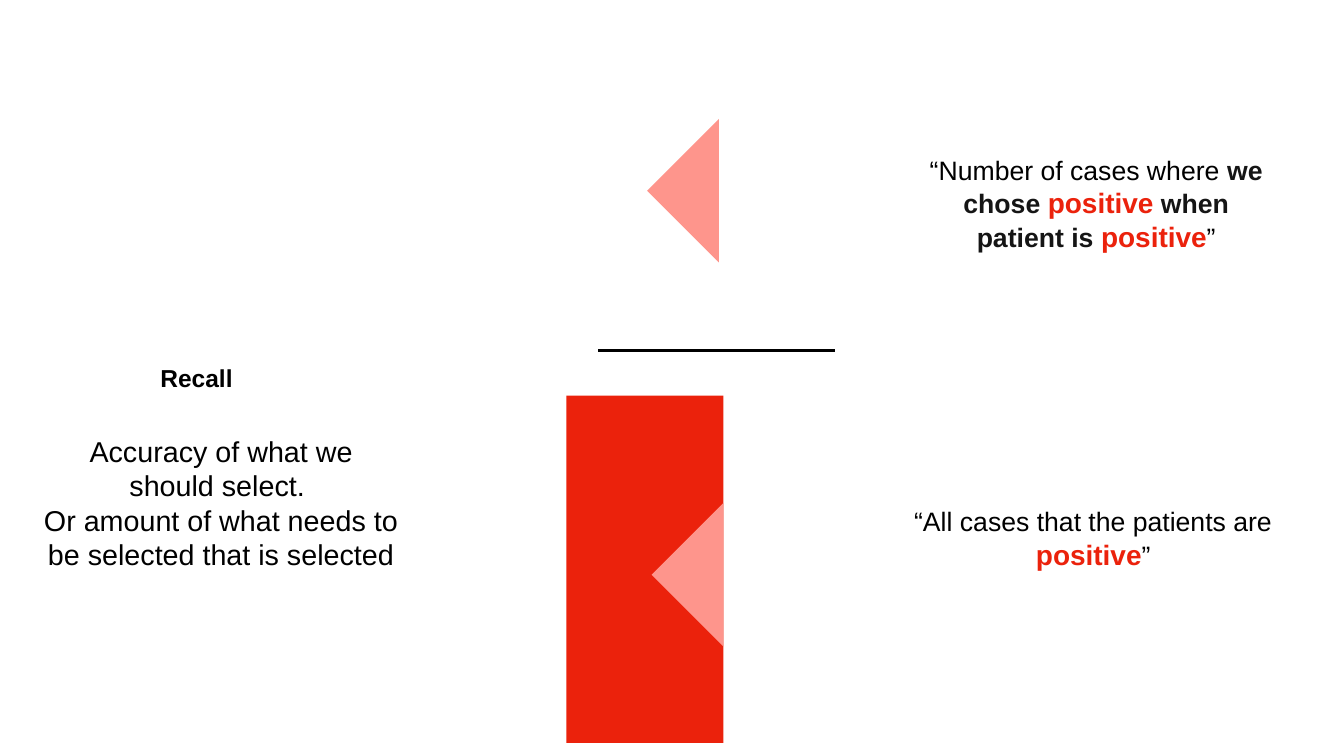
import pptx
import pptx.dml.color
import pptx.enum.shapes
import pptx.enum.text
import pptx.oxml.ns
import pptx.util
from lxml import etree

Pt = pptx.util.Pt
BLACK, INK, RED, PINK = "000000", "151515", "EB220C", "FE958C"


def rgb(value):
    return pptx.dml.color.RGBColor.from_string(value)


def paint(sp, color):
    sp.shadow.inherit = False
    sp.fill.solid()
    sp.fill.fore_color.rgb = rgb(color)
    sp.line.fill.background()


def add_text(slide, box, size, paragraphs, wrap=True):
    """Place centred paragraphs, each a list of (text, color, bold, size or None) runs."""
    tf = slide.shapes.add_textbox(*map(Pt, box)).text_frame
    tf.word_wrap = wrap
    tf.vertical_anchor = pptx.enum.text.MSO_ANCHOR.MIDDLE
    tf.margin_left = tf.margin_right = tf.margin_top = tf.margin_bottom = Pt(4)
    for i, runs in enumerate(paragraphs):
        p = tf.add_paragraph() if i else tf.paragraphs[0]
        p.alignment = pptx.enum.text.PP_ALIGN.CENTER
        p.font.name = "Arial"
        p.font.size = Pt(size)
        for text, color, bold, run_size in runs:
            r = p.add_run()
            r.text = text
            r.font.color.rgb = rgb(color)
            r.font.bold = bold
            if run_size:
                r.font.size = Pt(run_size)


def add_triangle(slide, left, top, width, height):
    """Draw a half diamond that points left."""
    builder = slide.shapes.build_freeform(Pt(left + width), Pt(top))
    builder.add_line_segments(
        [(Pt(left), Pt(top + height / 2)), (Pt(left + width), Pt(top + height))])
    paint(builder.convert_to_shape(), PINK)


def add_definition(slide, left, top, width):
    add_text(slide, (left + 166.5, top, 112, 50), 35,
             [[("Recall", BLACK, True, None)]], wrap=False)
    add_text(slide, (left, top + 75, width, 256), 41, [
        [("Accuracy of what we should select. ", BLACK, False, None)],
        [("Or amount of what needs to be selected that is selected", BLACK, False, None)],
    ])


def add_fraction(slide, left, top, width, height):
    """Draw the selected positives over all positives."""
    bar_y = top + 330.4
    bar = slide.shapes.add_connector(
        pptx.enum.shapes.MSO_CONNECTOR.STRAIGHT,
        Pt(left + 45.4), Pt(bar_y), Pt(left + width), Pt(bar_y))
    bar.line.color.rgb = rgb(BLACK)
    bar.line.width = Pt(4)
    etree.SubElement(bar._element.spPr, pptx.oxml.ns.qn("a:effectLst"))

    block_width, block_height = 224, 496
    block = slide.shapes.add_shape(
        pptx.enum.shapes.MSO_SHAPE.RECTANGLE, Pt(left), Pt(top + height - block_height),
        Pt(block_width), Pt(block_height))
    paint(block, RED)

    tri_width, tri_height = 102.5, 205
    add_triangle(slide, left + block_width - tri_width, top + 548.6, tri_width, tri_height)
    add_triangle(slide, left + 115.3, top, tri_width, tri_height)


def add_explanations(slide, left, top, width):
    positive = ("positive", RED, True, 40)
    end_quote = ("”", BLACK, False, None)
    add_text(slide, (left + 8.5, top, width - 8.5, 151), 38, [[
        ("“Number of cases where ", BLACK, False, None),
        ("we chose ", INK, True, None), positive,
        (" ", BLACK, False, None),
        ("when patient is ", INK, True, None), positive, end_quote,
    ]])
    add_text(slide, (left, top + 502.5, width, 102), 38, [[
        ("“All cases that the patients are ", BLACK, False, None), positive, end_quote,
    ]])


def main():
    prs = pptx.Presentation()
    prs.slide_width, prs.slide_height = Pt(1920), Pt(1080)
    slide = prs.slides.add_slide(prs.slide_layouts[6])
    add_definition(slide, 58.3, 515, 515.5)
    add_fraction(slide, 809.3, 170, 383.7, 891.3)
    add_explanations(slide, 1297.5, 215.3, 528.5)
    prs.save("out.pptx")


if __name__ == "__main__":
    main()
